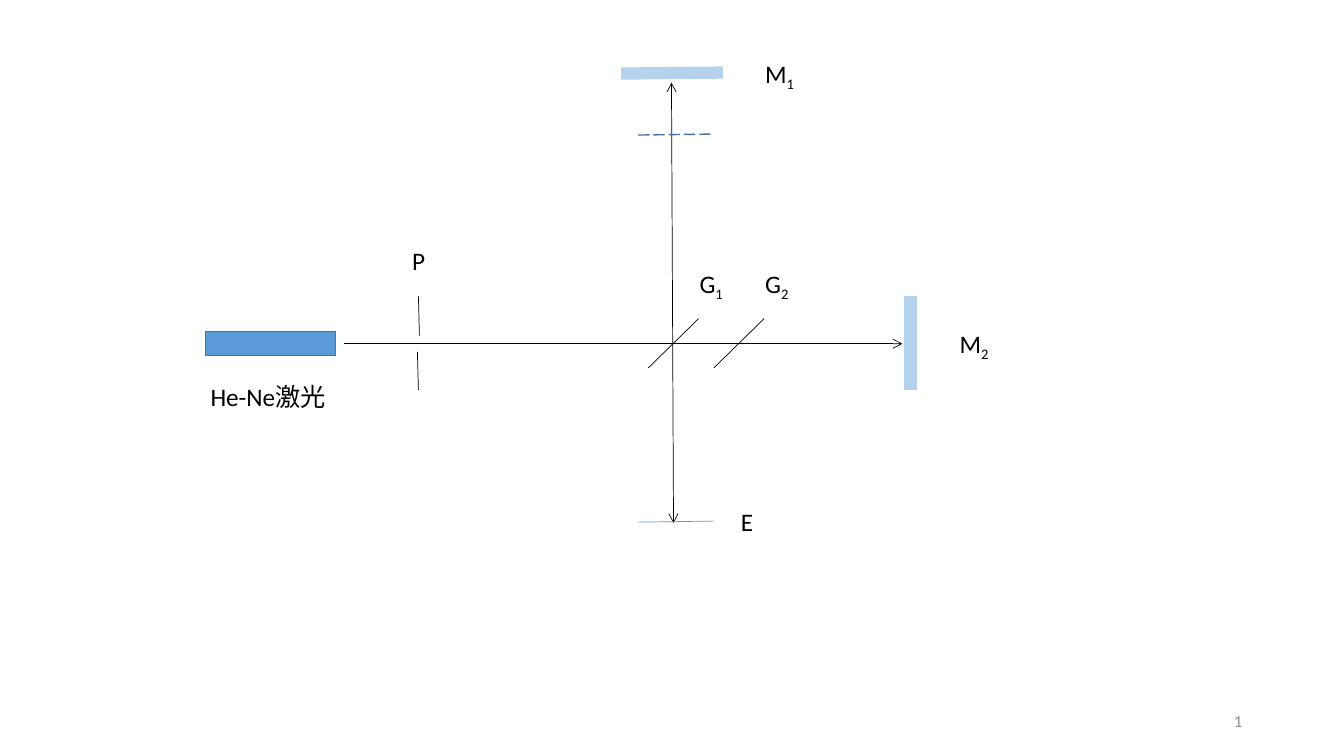
from dataclasses import dataclass

from lxml import etree
from pptx import Presentation
from pptx.dml.color import RGBColor
from pptx.enum.dml import MSO_LINE
from pptx.enum.shapes import MSO_CONNECTOR, MSO_SHAPE
from pptx.enum.text import MSO_ANCHOR, MSO_AUTO_SIZE, PP_ALIGN
from pptx.oxml.ns import qn
from pptx.util import Inches, Pt

STRAIGHT = MSO_CONNECTOR.STRAIGHT
RECT = MSO_SHAPE.RECTANGLE
DASH = MSO_LINE.LONG_DASH
MIDDLE = MSO_ANCHOR.MIDDLE
GROW = MSO_AUTO_SIZE.SHAPE_TO_FIT_TEXT
LEFT, RIGHT = PP_ALIGN.LEFT, PP_ALIGN.RIGHT


@dataclass(frozen=True)
class Theme:
    """Colours, font and sizes of the diagram."""
    font: str = "Calibri"
    ink: str = "000000"
    blue: str = "5B9BD5"
    edge: str = "43739E"
    glass: str = "B5D2EC"
    grey: str = "8C8C8C"
    label: float = 18
    page: float = 12
    thin: float = 0.5
    rim: float = 1
    thick: float = 8.75


class Sketch:
    """Draws optical parts on one slide in one style."""

    def __init__(self, slide, theme):
        self.shapes = slide.shapes
        self.theme = theme

    def line(self, start, end, color=None, width=None, dash=None, arrows=()):
        """Draw a line, with arrowheads at headEnd or tailEnd if named."""
        link = self.shapes.add_connector(STRAIGHT, *map(Inches, start + end))
        link.line.color.rgb = RGBColor.from_string(color or self.theme.ink)
        link.line.width = Pt(width or self.theme.thin)
        if dash:
            link.line.dash_style = dash
        props = link._element.spPr
        for name in arrows:
            etree.SubElement(props.find(qn("a:ln")), qn("a:" + name), type="arrow")
        etree.SubElement(props, qn("a:effectLst"))

    def box(self, left, top, width, height):
        """Draw a filled rectangle with a rim."""
        box = self.shapes.add_shape(RECT, *map(Inches, (left, top, width, height)))
        box.shadow.inherit = False
        box.fill.solid()
        box.fill.fore_color.rgb = RGBColor.from_string(self.theme.blue)
        box.line.color.rgb = RGBColor.from_string(self.theme.edge)
        box.line.width = Pt(self.theme.rim)

    def text(self, words, left, top, width, sub="", wrap=False):
        """Write a label with an optional subscript and return its frame."""
        area = map(Inches, (left, top, width, 0.4))
        frame = self.shapes.add_textbox(*area).text_frame
        frame.text = words
        frame.word_wrap = wrap
        frame.auto_size = GROW
        para = frame.paragraphs[0]
        para.alignment = LEFT
        if sub:
            run = para.add_run()
            run.text = sub
            run._r.get_or_add_rPr().set("baseline", "-25000")
        self.style(para, self.theme.label, self.theme.ink)
        return frame

    def style(self, para, size, color):
        """Set font, size and colour on every run."""
        for run in para.runs:
            run.font.name = self.theme.font
            run.font.size = Pt(size)
            run.font.color.rgb = RGBColor.from_string(color)

    def number(self, words):
        """Write the page number at the lower right."""
        frame = self.text(words, 9.42, 6.95, 3, wrap=True)
        frame.auto_size = MSO_AUTO_SIZE.NONE
        frame.vertical_anchor = MIDDLE
        frame.paragraphs[0].alignment = RIGHT
        self.style(frame.paragraphs[0], self.theme.page, self.theme.grey)


def main():
    """Build the interferometer slide."""
    deck = Presentation()
    deck.slide_width, deck.slide_height = Inches(13.33), Inches(7.5)
    theme = Theme()
    sketch = Sketch(deck.slides.add_slide(deck.slide_layouts[6]), theme)

    sketch.number("1")
    sketch.line((3.41, 3.41), (8.95, 3.41), arrows=("tailEnd",))
    sketch.line((6.68, 5.19), (6.66, 0.82), arrows=("headEnd", "tailEnd"))
    sketch.line((6.33, 5.18), (7.08, 5.17), theme.blue)
    sketch.line((6.33, 1.34), (7.08, 1.33), theme.edge, theme.rim, DASH)

    mirrors = [((9.03, 2.94), (9.03, 3.87)), ((6.16, 0.73), (7.17, 0.72))]
    for start, end in mirrors:
        sketch.line(start, end, theme.glass, theme.thick)
    for left in (6.43, 7.08):
        sketch.line((left + 0.5, 3.16), (left, 3.65))

    sketch.box(2.04, 3.29, 1.29, 0.24)
    sketch.line((4.15, 2.94), (4.16, 3.33))
    sketch.line((4.14, 3.49), (4.15, 3.87))

    sketch.text("He-Ne激光", 1.99, 3.73, 1.34, wrap=True)
    labels = [
        ("P", "", 3.99, 2.38, 0.33),
        ("E", "", 7.25, 4.97, 0.32),
        ("G", "1", 6.84, 2.61, 0.44),
        ("G", "2", 7.49, 2.61, 0.44),
        ("M", "1", 7.49, 0.53, 0.5),
        ("M", "2", 9.42, 3.21, 0.5),
    ]
    for words, sub, left, top, width in labels:
        sketch.text(words, left, top, width, sub)

    deck.save("out.pptx")


if __name__ == "__main__":
    main()
